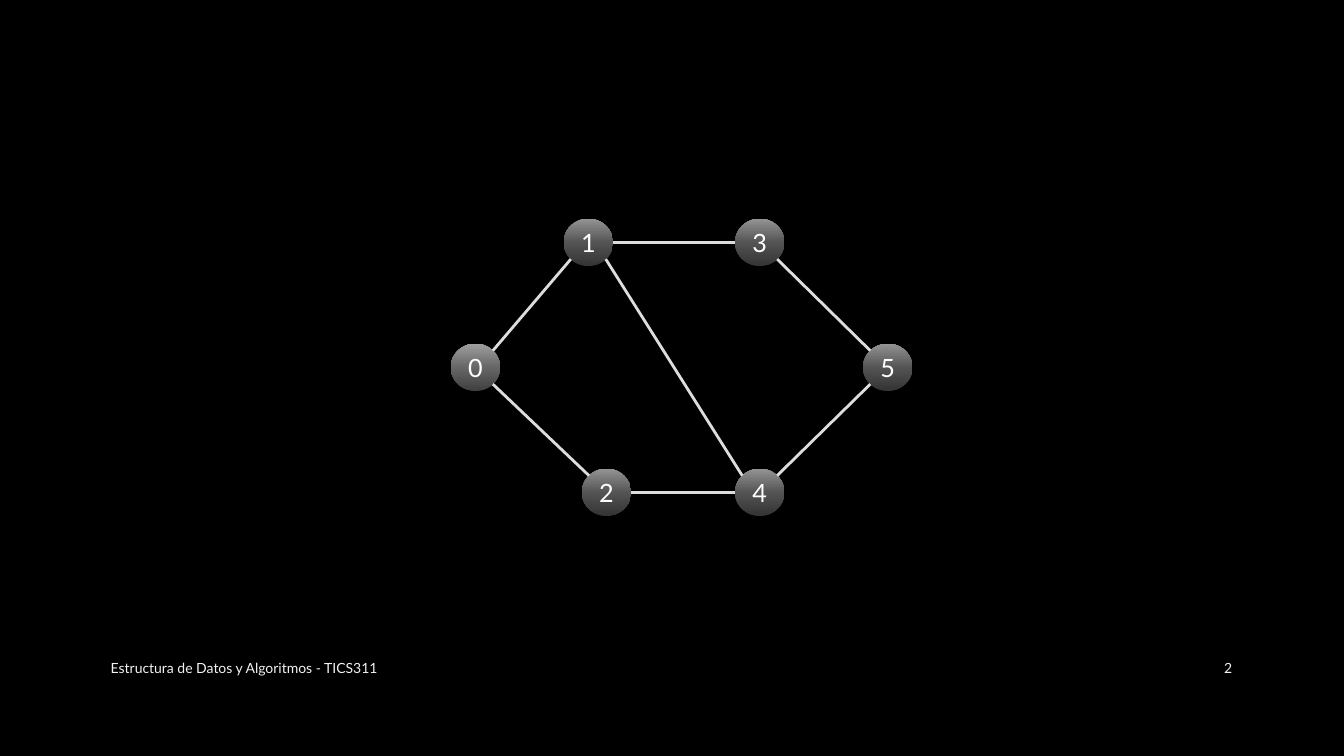
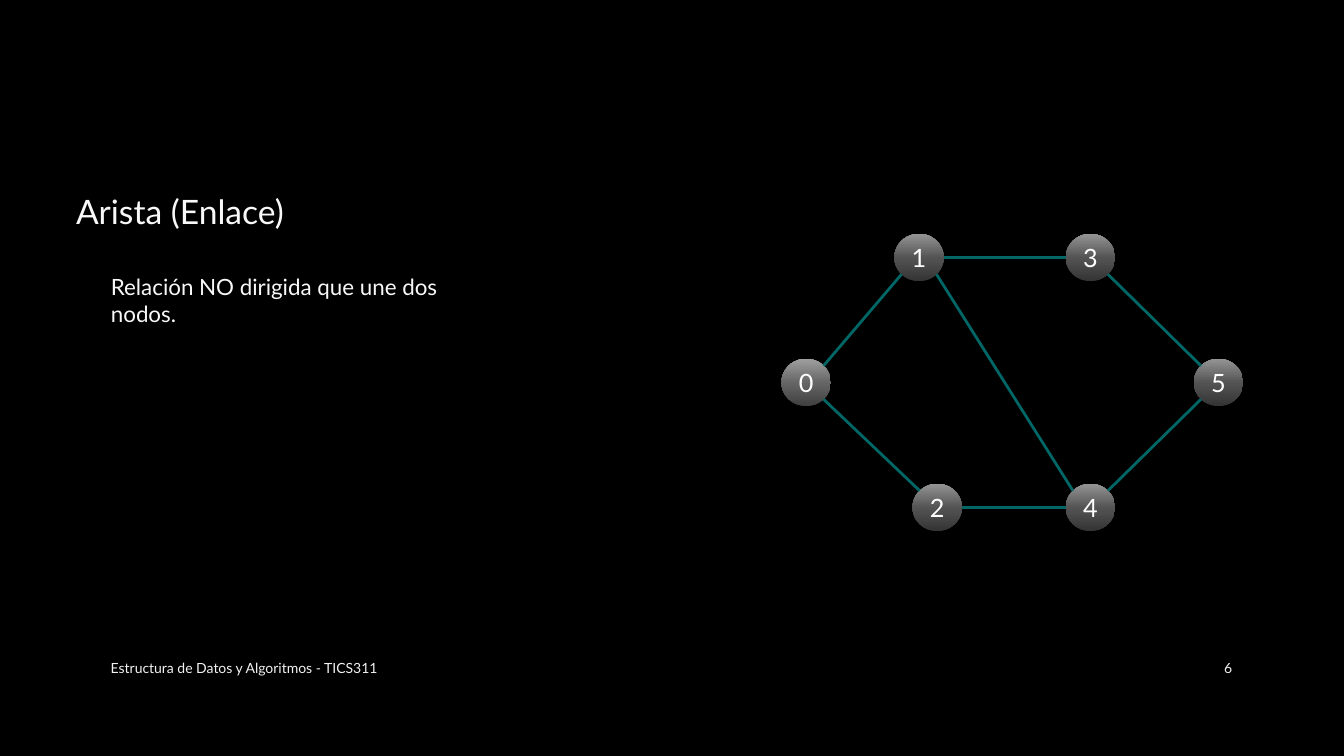
from copy import deepcopy

from lxml import etree
from pptx import Presentation
from pptx.dml.color import RGBColor
from pptx.enum.shapes import MSO_CONNECTOR, MSO_SHAPE
from pptx.enum.text import MSO_ANCHOR, MSO_AUTO_SIZE, PP_ALIGN
from pptx.oxml.ns import qn
from pptx.util import Inches, Pt

STRAIGHT, OVAL = MSO_CONNECTOR.STRAIGHT, MSO_SHAPE.OVAL
LEFT, CENTER, RIGHT = PP_ALIGN.LEFT, PP_ALIGN.CENTER, PP_ALIGN.RIGHT
TOP, MIDDLE, BOTTOM = MSO_ANCHOR.TOP, MSO_ANCHOR.MIDDLE, MSO_ANCHOR.BOTTOM

# Shared style
FONT = "Lato"
BLACK = RGBColor(0x00, 0x00, 0x00)
WHITE = RGBColor(0xFF, 0xFF, 0xFF)
HEADING = RGBColor(0xF8, 0xF8, 0xF8)
FOOTER = RGBColor(0xF2, 0xF2, 0xF2)
SILVER = RGBColor(0xDD, 0xDD, 0xDD)
TEAL = RGBColor(0x00, 0x66, 0x66)
NODE_SHADES = [RGBColor(0x34, 0x34, 0x34), RGBColor(0x52, 0x52, 0x52),
               RGBColor(0x94, 0x94, 0x94)]
START_SHADES = [RGBColor(0x40, 0x40, 0x40), RGBColor(0x64, 0x64, 0x64),
                RGBColor(0x9F, 0x9F, 0x9F)]
SHADE_STOPS = [0, 0.48, 1]

# Content
COURSE = "Estructura de Datos y Algoritmos - TICS311"
SLIDES = [
    {"number": 2, "graph_at": (4.47, 2.17), "edge_color": SILVER},
    {"number": 6, "graph_at": (7.75, 2.32), "edge_color": TEAL,
     "title": "Arista (Enlace)",
     "body": "Relación NO dirigida que une dos nodos."},
]

# Graph: node corners relative to the graph's corner, in three equal rows
NODE_W, NODE_H = 0.49, 0.47
ROW = 1.24
NODES = [(0, ROW), (1.12, 0), (1.3, 2 * ROW),
         (2.82, 0), (2.82, 2 * ROW), (4.09, ROW)]
EDGES = [(0, 1), (0, 2), (1, 3), (2, 4), (5, 4), (5, 3), (4, 1)]
DIAGONAL = 0.5 ** 0.5


def write(shape, text, size, color, align, anchor):
    frame = shape.text_frame
    frame.text = text
    frame.word_wrap = True
    frame.auto_size = MSO_AUTO_SIZE.NONE
    frame.vertical_anchor = anchor
    paragraph = frame.paragraphs[0]
    paragraph.alignment = align
    font = paragraph.runs[0].font
    font.name, font.size, font.color.rgb = FONT, Pt(size), color
    return paragraph


def place(shape, left, top, width, height):
    shape.left, shape.top = Inches(left), Inches(top)
    shape.width, shape.height = Inches(width), Inches(height)


def add_footer(slide, number):
    for text, left, width, align in [(COURSE, 1, 7.3, LEFT),
                                     (str(number), 11.5, 0.82, RIGHT)]:
        box = slide.shapes.add_textbox(Inches(left), Inches(6.43),
                                       Inches(width), Inches(0.4))
        write(box, text, 10, FOOTER, align, MIDDLE)


def shade(shape, colors):
    shape.fill.gradient()
    shape.fill.gradient_angle = 90
    stop_list = shape._element.spPr.find(qn("a:gradFill")).find(qn("a:gsLst"))
    stop_list.append(deepcopy(stop_list[-1]))
    for stop, position, color in zip(shape.fill.gradient_stops, SHADE_STOPS, colors):
        stop.position = position
        stop.color.rgb = color


def sign(value):
    return (value > 0) - (value < 0)


def rim_point(node, other):
    """Point on the node's rim, straight or diagonally towards the other node."""
    across, down = sign(other[0] - node[0]), sign(other[1] - node[1])
    reach = DIAGONAL if across and down else 1
    return (node[0] + NODE_W / 2 * (1 + across * reach),
            node[1] + NODE_H / 2 * (1 + down * reach))


def add_graph(slide, origin, edge_color):
    corners = [(origin[0] + x, origin[1] + y) for x, y in NODES]
    for index, (left, top) in enumerate(corners):
        node = slide.shapes.add_shape(OVAL, Inches(left), Inches(top),
                                      Inches(NODE_W), Inches(NODE_H))
        node.shadow.inherit = False
        node.line.fill.background()
        shade(node, NODE_SHADES if index else START_SHADES)
        write(node, str(index), 18, WHITE, CENTER, MIDDLE)
    for first, second in EDGES:
        start = rim_point(corners[first], corners[second])
        end = rim_point(corners[second], corners[first])
        edge = slide.shapes.add_connector(
            STRAIGHT, *[Inches(length) for length in start + end])
        edge.line.color.rgb = edge_color
        edge.line.width = Pt(2)
        etree.SubElement(edge._element.spPr, qn("a:effectLst"))


def add_definition(slide, title, body):
    heading, definition = slide.shapes.title, slide.placeholders[1]
    place(heading, 0.32, 1.08, 2.93, 1.26)
    write(heading, title, 24, HEADING, CENTER, BOTTOM)
    place(definition, 1, 2.66, 4.05, 3.67)
    paragraph = write(definition, body, 16, HEADING, LEFT, TOP)
    paragraph.space_before, paragraph.space_after = Pt(3), Pt(6)
    # No bullet, no hanging indent
    properties = paragraph._p.get_or_add_pPr()
    properties.set("marL", "0")
    properties.set("indent", "0")
    etree.SubElement(properties, qn("a:buNone"))


def main():
    deck = Presentation()
    deck.slide_width, deck.slide_height = Inches(13.33), Inches(7.5)
    background = deck.slide_master.background.fill
    background.solid()
    background.fore_color.rgb = BLACK
    title_and_content, blank = deck.slide_layouts[1], deck.slide_layouts[6]

    for content in SLIDES:
        has_title = "title" in content
        slide = deck.slides.add_slide(title_and_content if has_title else blank)
        if has_title:
            add_definition(slide, content["title"], content["body"])
        add_footer(slide, content["number"])
        add_graph(slide, content["graph_at"], content["edge_color"])

    deck.save("out.pptx")


if __name__ == "__main__":
    main()
